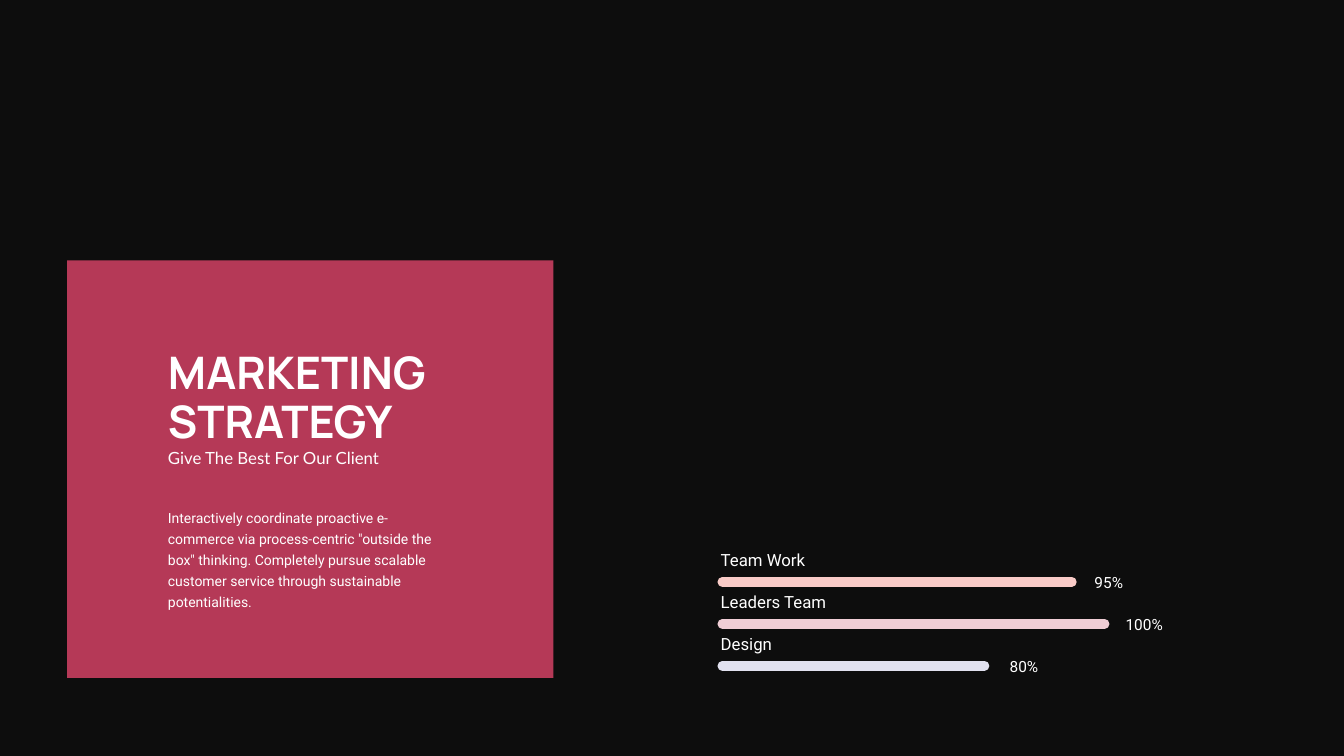
from dataclasses import dataclass

from lxml import etree
from pptx import Presentation
from pptx import util as u
from pptx.dml.color import RGBColor
from pptx.enum import shapes, text
from pptx.oxml.ns import qn

# Grid: 80 columns by 45 rows of square cells
COLUMNS, ROWS = 80, 45
SLIDE_WIDTH, SLIDE_HEIGHT = u.Inches(13.333), u.Inches(7.5)


@dataclass(frozen=True)
class Theme:
    background: str = "0D0D0D"
    panel: str = "B53957"
    ink: str = "FFFFFF"
    heading_font: str = "Manrope"
    tagline_font: str = "Lato"
    body_font: str = "Roboto"
    heading_size: float = 32
    label_size: float = 12
    value_size: float = 11
    body_size: float = 10
    bar_weight: float = 7


@dataclass(frozen=True)
class Area:
    column: float
    row: float
    columns: float
    rows: float


@dataclass(frozen=True)
class Skill:
    name: str
    value: str
    bar_end: float
    value_column: float
    color: str


THEME = Theme()
SKILLS = [
    Skill("Team Work", "95%", 63.8, 65.15, "F9CBC7"),
    Skill("Leaders Team", "100%", 65.75, 67, "EFCDD5"),
    Skill("Design", "80%", 58.6, 60.1, "E1E1EF"),
]
SKILL_TOP, SKILL_PITCH = 32.75, 2.5
LABEL_COLUMN, BAR_START = 42.9, 43
TEXT_COLUMN, TEXT_COLUMNS = 10, 16.9


def across(columns: float) -> int:
    return round(SLIDE_WIDTH * columns / COLUMNS)


def down(rows: float) -> int:
    return round(SLIDE_HEIGHT * rows / ROWS)


def place(area: Area) -> tuple[int, int, int, int]:
    return across(area.column), down(area.row), across(area.columns), down(area.rows)


def add_text(page, area: Area, lines: list[str], *, size: float, font: str,
             bold: bool = False, leading: float | None = None,
             anchor=text.MSO_ANCHOR.TOP) -> None:
    frame = page.shapes.add_textbox(*place(area)).text_frame
    frame.margin_left = frame.margin_right = frame.margin_top = frame.margin_bottom = 0
    frame.word_wrap = True
    frame.auto_size = text.MSO_AUTO_SIZE.SHAPE_TO_FIT_TEXT
    frame.vertical_anchor = anchor
    for index, line in enumerate(lines):
        para = frame.add_paragraph() if index else frame.paragraphs[0]
        if leading:
            para.line_spacing = u.Pt(leading)
        span = para.add_run()
        span.text = line
        span.font.size = u.Pt(size)
        span.font.name = font
        span.font.bold = bold
        span.font.color.rgb = RGBColor.from_string(THEME.ink)


def add_panel(page, area: Area) -> None:
    panel = page.shapes.add_shape(shapes.MSO_SHAPE.RECTANGLE, *place(area))
    panel.shadow.inherit = False
    panel.fill.solid()
    panel.fill.fore_color.rgb = RGBColor.from_string(THEME.panel)
    panel.line.fill.background()


def add_bar(page, start: float, end: float, row: float, color: str) -> None:
    bar = page.shapes.add_connector(
        shapes.MSO_CONNECTOR.STRAIGHT, across(end), down(row), across(start), down(row))
    bar.line.width = u.Pt(THEME.bar_weight)
    bar.line.color.rgb = RGBColor.from_string(color)
    # Round ends, no shadow
    properties = bar.element.spPr
    properties.find(qn("a:ln")).set("cap", "rnd")
    etree.SubElement(properties, qn("a:effectLst"))


def add_skill(page, skill: Skill, top: float) -> None:
    add_text(page, Area(LABEL_COLUMN, top, 13.3, 1.2), [skill.name],
             size=THEME.label_size, font=THEME.body_font)
    add_bar(page, BAR_START, skill.bar_end, top + 1.88, skill.color)
    add_text(page, Area(skill.value_column, top + 1.35, 3, 1.1), [skill.value],
             size=THEME.value_size, font=THEME.body_font)


def main() -> None:
    deck = Presentation()
    deck.slide_width, deck.slide_height = SLIDE_WIDTH, SLIDE_HEIGHT
    page = deck.slides.add_slide(deck.slide_layouts[6])
    page.background.fill.solid()
    page.background.fill.fore_color.rgb = RGBColor.from_string(THEME.background)

    # Strategy panel
    add_panel(page, Area(4, 15.5, 28.95, 24.85))
    add_text(page, Area(TEXT_COLUMN, 20.75, TEXT_COLUMNS, 5.9),
             ["MARKETING", "STRATEGY"], size=THEME.heading_size,
             font=THEME.heading_font, bold=True, leading=35,
             anchor=text.MSO_ANCHOR.MIDDLE)
    add_text(page, Area(TEXT_COLUMN, 26.65, TEXT_COLUMNS, 1.2),
             ["Give The Best For Our Client"],
             size=THEME.label_size, font=THEME.tagline_font)
    add_text(page, Area(TEXT_COLUMN, 30.1, TEXT_COLUMNS, 4.9),
             ['Interactively coordinate proactive e-commerce via process-centric '
              '"outside the box" thinking. Completely pursue scalable customer '
              'service through sustainable potentialities.'],
             size=THEME.body_size, font=THEME.body_font, leading=15)

    # Skill bars
    for index, skill in enumerate(SKILLS):
        add_skill(page, skill, SKILL_TOP + index * SKILL_PITCH)

    deck.save("out.pptx")


if __name__ == "__main__":
    main()
